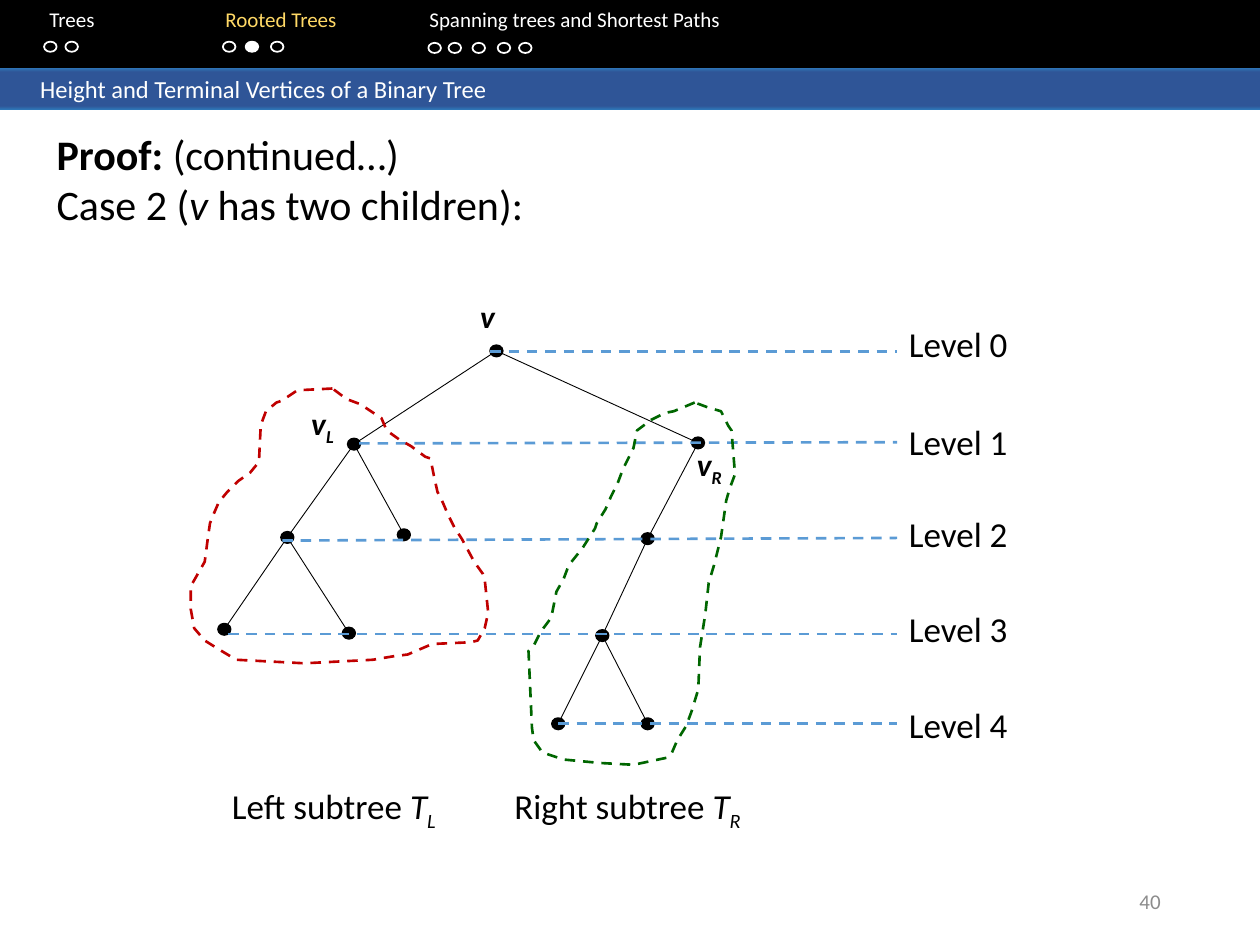
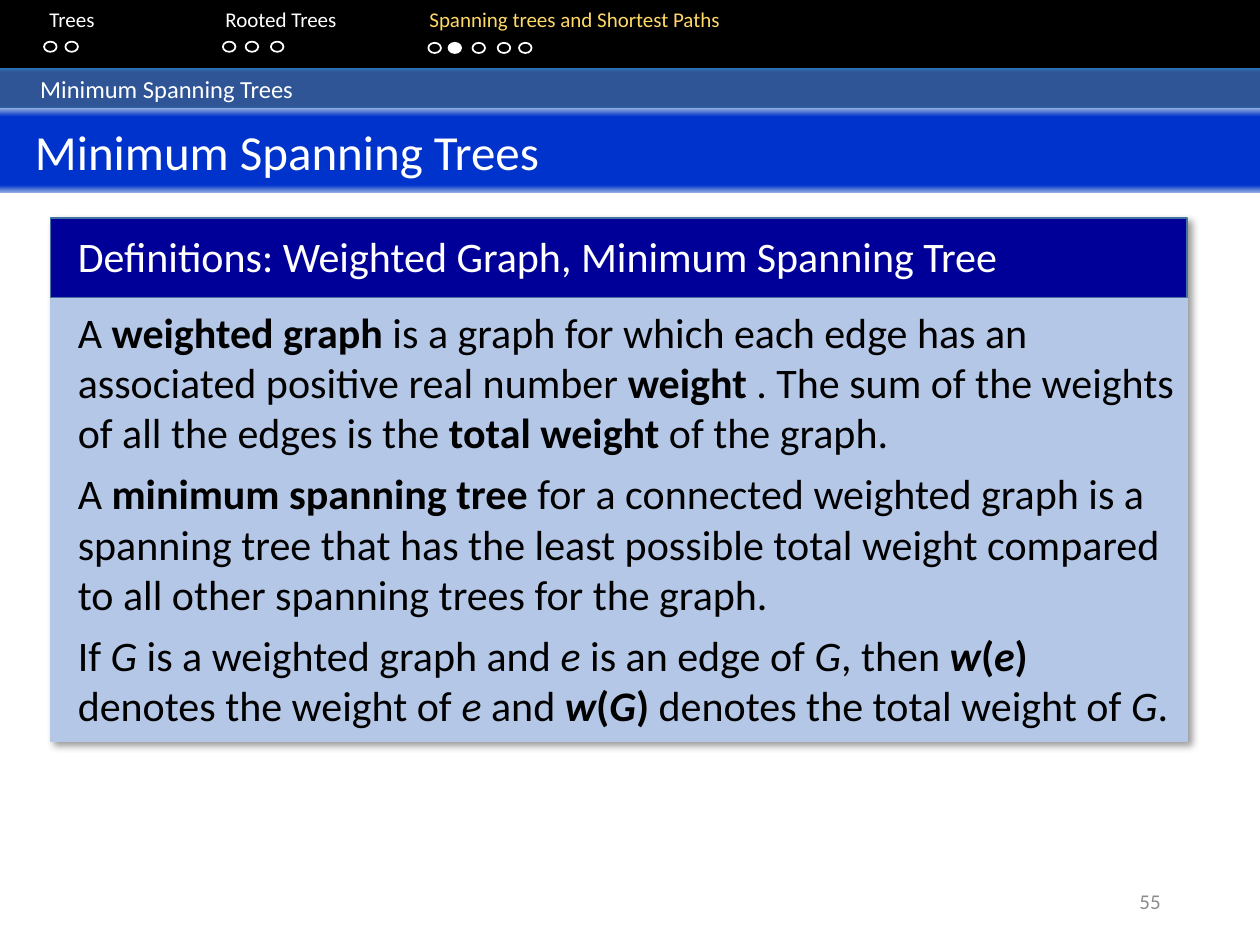
import pptx
import pptx.dml.color
import pptx.enum.dml
import pptx.enum.shapes
import pptx.enum.text
import pptx.oxml.ns
import pptx.util
from lxml import etree

Pt = pptx.util.Pt
qn = pptx.oxml.ns.qn
SHAPE = pptx.enum.shapes.MSO_SHAPE
ALIGN = pptx.enum.text.PP_ALIGN
ANCHOR = pptx.enum.text.MSO_ANCHOR

COLORS = {
    "black": "000000", "white": "FFFFFF", "gold": "FFD966", "gray": "8C8C8C",
    "band": "2F5597", "band edge": "2E75B6", "title": "0033CC", "title edge": "8FAADC",
    "panel": "B4C7E7", "heading": "000099", "heading edge": "43739E",
    "level": "5B9BD5", "left": "C00000", "right": "006600",
}
SECTIONS = [
    ("Trees", 23.8, [25.2, 37.4]),
    ("Rooted Trees", 23.8, [127.4, 140.4, 154.8]),
    ("Spanning trees and Shortest Paths", 24.5, [244.8, 256.3, 270, 284.4, 296.6]),
]
SECTION_TABS = [18.5, 121.7, 238.3]

NODES = {
    "v": (283.7, 200.5), "vL": (202.3, 253.8), "vR": (398.9, 253.1),
    "left inner": (164.2, 307.1), "left leaf": (230.8, 305.6),
    "left deep 1": (128.2, 359.6), "left deep 2": (199.4, 361.8),
    "right 2": (370.1, 307.8), "right 3": (344.2, 363.2),
    "right deep 1": (319, 413.6), "right deep 2": (370.1, 413.6),
}
EDGES = [
    ("v", "vL"), ("v", "vR"), ("vL", "left inner"), ("vL", "left leaf"),
    ("left inner", "left deep 1"), ("left inner", "left deep 2"),
    ("vR", "right 2"), ("right 2", "right 3"),
    ("right 3", "right deep 1"), ("right 3", "right deep 2"),
]
LEVELS = [
    (280.1, 200.9, 200.9, 180.7), (205.2, 253.4, 252.7, 236.9),
    (161.3, 308.9, 307.4, 289.4), (130.3, 362.2, 362.2, 343.4),
    (319, 413.3, 413.3, 398.2),
]
LEVEL_END = 512.6
LEFT_OUTLINE = [
    (190, 222), (170, 223), (161, 229), (158, 230), (152, 235), (149, 243), (148, 264),
    (143, 270), (136, 275), (130, 281), (125, 287), (122, 294), (120, 299), (119, 306),
    (117, 321), (113, 328), (109, 335), (109, 348), (111, 359), (117, 366), (125, 371),
    (135, 377), (174, 379), (213, 377), (225, 375), (233, 374), (240, 371), (247, 368),
    (269, 367), (273, 366), (277, 359), (279, 350), (277, 331), (276, 328), (271, 321),
    (264, 308), (260, 302), (256, 294), (253, 287), (250, 281), (248, 272), (246, 262),
    (243, 261), (235, 255), (228, 251), (221, 246), (218, 239), (212, 235), (206, 231),
    (198, 228),
]
RIGHT_OUTLINE = [
    (397, 230), (385, 235), (380, 236), (372, 240), (364, 246), (362, 256), (356, 268),
    (353, 276), (349, 284), (346, 291), (341, 299), (340, 302), (333, 313), (325, 323),
    (322, 331), (318, 338), (315, 353), (309, 361), (305, 369), (302, 372), (304, 416),
    (305, 423), (310, 430), (322, 434), (343, 436), (362, 437), (381, 433), (384, 430),
    (387, 423), (392, 415), (395, 407), (399, 394), (400, 370), (403, 351), (405, 333),
    (408, 323), (410, 315), (412, 307), (415, 286), (417, 279), (420, 271), (418, 246),
    (416, 243), (412, 235), (405, 233),
]
PROOF = [
    [("Proof: ", "b"), ("(continued…)", "")],
    [("Case 2 (", ""), ("v", "i"), (" has two children):", "")],
]
DEFINITIONS = [
    [("A ", ""), ("weighted graph ", "b"),
     ("is a graph for which each edge has an associated positive real number ", ""),
     ("weight ", "b"), (". The sum of the weights of all the edges is the ", ""),
     ("total weight", "b"), (" of the graph.", "")],
    [("A ", ""), ("minimum spanning tree ", "b"),
     ("for a connected weighted graph is a spanning tree that has the least possible total "
      "weight compared to all other spanning trees for the graph.", "")],
    [("If ", ""), ("G", "i"), (" is a weighted graph and ", ""), ("e", "i"),
     (" is an edge of ", ""), ("G", "i"), (", then ", ""), ("w", "bi"), ("(", "b"),
     ("e", "bi"), (")", "b"), (" denotes the weight of ", ""), ("e", "i"), (" and ", ""),
     ("w", "bi"), ("(", "b"), ("G", "bi"), (")", "b"),
     (" denotes the total weight of ", ""), ("G", "i"), (".", "")],
]


def rgb(name):
    return pptx.dml.color.RGBColor.from_string(COLORS[name])


def write_run(paragraph, text, size=24, color="black", style=""):
    run = paragraph.add_run()
    run.text = text
    font = run.font
    font.name = "Calibri"
    font.size = Pt(size)
    font.color.rgb = rgb(color)
    font.bold = "b" in style
    font.italic = "i" in style
    if "_" in style:
        font._element.set("baseline", "-25000")


class Deck:
    def __init__(self):
        self.presentation = pptx.Presentation()
        self.presentation.slide_width = Pt(720)
        self.presentation.slide_height = Pt(540)
        self.slide = None

    def line_style(self, line, color, width, dashed=False):
        line.color.rgb = rgb(color)
        line.width = Pt(width)
        if dashed:
            line.dash_style = pptx.enum.dml.MSO_LINE.DASH

    def shape(self, left, top, width, height, fill=None, line=None, kind=SHAPE.RECTANGLE):
        shape = self.slide.shapes.add_shape(kind, Pt(left), Pt(top), Pt(width), Pt(height))
        shape.shadow.inherit = False
        if fill:
            shape.fill.solid()
            shape.fill.fore_color.rgb = rgb(fill)
        else:
            shape.fill.background()
        if line:
            self.line_style(shape.line, line, 1)
        else:
            shape.line.fill.background()
        return shape

    def text(self, left, top, width, height, paragraphs, align=ALIGN.LEFT,
             anchor=ANCHOR.TOP, space_after=0, **text_format):
        box = self.slide.shapes.add_textbox(Pt(left), Pt(top), Pt(width), Pt(height))
        frame = box.text_frame
        frame.word_wrap = True
        frame.vertical_anchor = anchor
        for index, runs in enumerate(paragraphs):
            paragraph = frame.add_paragraph() if index else frame.paragraphs[0]
            paragraph.alignment = align
            paragraph.space_after = Pt(space_after)
            for text, style in runs:
                write_run(paragraph, text, style=style, **text_format)
        return box

    def band(self, top, height, text, size, inset, color):
        band = self.shape(0, top, 720, height)
        band.fill.gradient()
        band.fill.gradient_angle = 270
        stops = band.element.spPr.find(".//" + qn("a:gsLst"))
        for stop in list(stops):
            stops.remove(stop)
        edge = color + " edge"
        for position, name in [(0, edge), (10, color), (91, color), (100, edge)]:
            stop = etree.SubElement(stops, qn("a:gs"), pos=str(position * 1000))
            etree.SubElement(stop, qn("a:srgbClr"), val=COLORS[name])
        frame = band.text_frame
        frame.word_wrap = True
        frame.margin_left = Pt(inset)
        frame.vertical_anchor = ANCHOR.MIDDLE
        frame.paragraphs[0].alignment = ALIGN.LEFT
        write_run(frame.paragraphs[0], text, size=size, color="white")

    def line(self, start, end, color, width, dashed=False):
        connector = self.slide.shapes.add_connector(
            pptx.enum.shapes.MSO_CONNECTOR.STRAIGHT, *map(Pt, start + end))
        self.line_style(connector.line, color, width, dashed)
        etree.SubElement(connector._element.spPr, qn("a:effectLst"))

    def node(self, center):
        self.shape(center[0] - 3.6, center[1] - 3.25, 7.2, 6.5, "black", "black", SHAPE.OVAL)

    def outline(self, points, color):
        builder = self.slide.shapes.build_freeform(*points[0], scale=Pt(1))
        builder.add_line_segments(points[1:], close=True)
        outline = builder.convert_to_shape()
        outline.shadow.inherit = False
        outline.fill.background()
        self.line_style(outline.line, color, 1.5, True)

    def drop_shadow(self, shape):
        effects = shape.element.spPr.find(qn("a:effectLst"))
        shadow = etree.SubElement(effects, qn("a:outerShdw"), blurRad=str(Pt(4)),
                                  dist=str(Pt(3)), dir="2700000", algn="tl", rotWithShape="0")
        color = etree.SubElement(shadow, qn("a:srgbClr"), val=COLORS["black"])
        etree.SubElement(color, qn("a:alpha"), val="40000")

    def section_labels(self, active):
        box = self.text(0, 0, 720, 36, [[]])
        paragraph = box.text_frame.paragraphs[0]
        tabs = etree.SubElement(paragraph._p.get_or_add_pPr(), qn("a:tabLst"))
        for position in SECTION_TABS:
            etree.SubElement(tabs, qn("a:tab"), pos=str(Pt(position)), algn="l")
        for index, (label, _, _) in enumerate(SECTIONS):
            write_run(paragraph, "\t", size=9, color="white")
            if index == 0:
                write_run(paragraph, " ", size=12, color="white")
            write_run(paragraph, label, size=12, color="gold" if index == active else "white")

    def new_slide(self, number, section, current, caption):
        self.slide = self.presentation.slides.add_slide(self.presentation.slide_layouts[6])
        self.shape(0, -1.4, 720, 40.3, "black")
        self.section_labels(section)
        for index, (_, top, lefts) in enumerate(SECTIONS):
            for position, left in enumerate(lefts):
                filled = (index, position) == (section, current)
                self.shape(left, top, 7.2, 5.8, "white" if filled else None, "white", SHAPE.OVAL)
        self.band(38.9, 23.8, caption, 14, 23, "band")
        self.text(508.3, 500.4, 162, 28.8, [[(number, "")]], align=ALIGN.RIGHT,
                  anchor=ANCHOR.MIDDLE, size=12, color="gray")


def build_proof(deck):
    deck.new_slide("40", 1, 1, "Height and Terminal Vertices of a Binary Tree")
    deck.text(25.2, 69.8, 654.5, 65.5, PROOF)
    for start, end in EDGES:
        deck.line(NODES[start], NODES[end], "black", 0.5)
    for center in NODES.values():
        deck.node(center)
    for level, (left, start, end, label_top) in enumerate(LEVELS):
        deck.line((left, start), (LEVEL_END, end), "level", 1.5, True)
        deck.text(481.7, label_top, 131.8, 31.7, [[(f"Level {level}", "")]],
                  align=ALIGN.CENTER, size=20)
    deck.outline(LEFT_OUTLINE, "left")
    deck.outline(RIGHT_OUTLINE, "right")
    for left, top, subscript in [(260.6, 166.3, ""), (166.3, 227.5, "L"), (387.4, 250.6, "R")]:
        runs = [("v", "bi")] + ([(subscript, "bi_")] if subscript else [])
        deck.text(left, top, 36, 29.5, [runs], align=ALIGN.CENTER, size=18)
    for left, side in [(105.8, "Left"), (273.6, "Right")]:
        runs = [(f"{side} subtree ", ""), ("T", "i"), (side[0], "i_")]
        deck.text(left, 445, 170, 31.7, [runs], align=ALIGN.CENTER, size=20)


def build_definitions(deck):
    deck.new_slide("55", 2, 1, "Minimum Spanning Trees")
    deck.band(61.9, 48.2, "Minimum Spanning Trees", 28, 20, "title")
    panel = deck.shape(28.8, 124.6, 649.4, 298.8, "panel", "panel")
    deck.drop_shadow(panel)
    deck.shape(28.8, 124.6, 649.4, 45.4, "heading", "heading edge")
    deck.text(37.4, 128.2, 614.2, 36,
              [[("Definitions: Weighted Graph, Minimum Spanning Tree", "")]], color="white")
    deck.text(37.4, 171.4, 640.8, 252, DEFINITIONS, space_after=6)


def main():
    deck = Deck()
    build_proof(deck)
    build_definitions(deck)
    deck.presentation.save("out.pptx")


if __name__ == "__main__":
    main()
